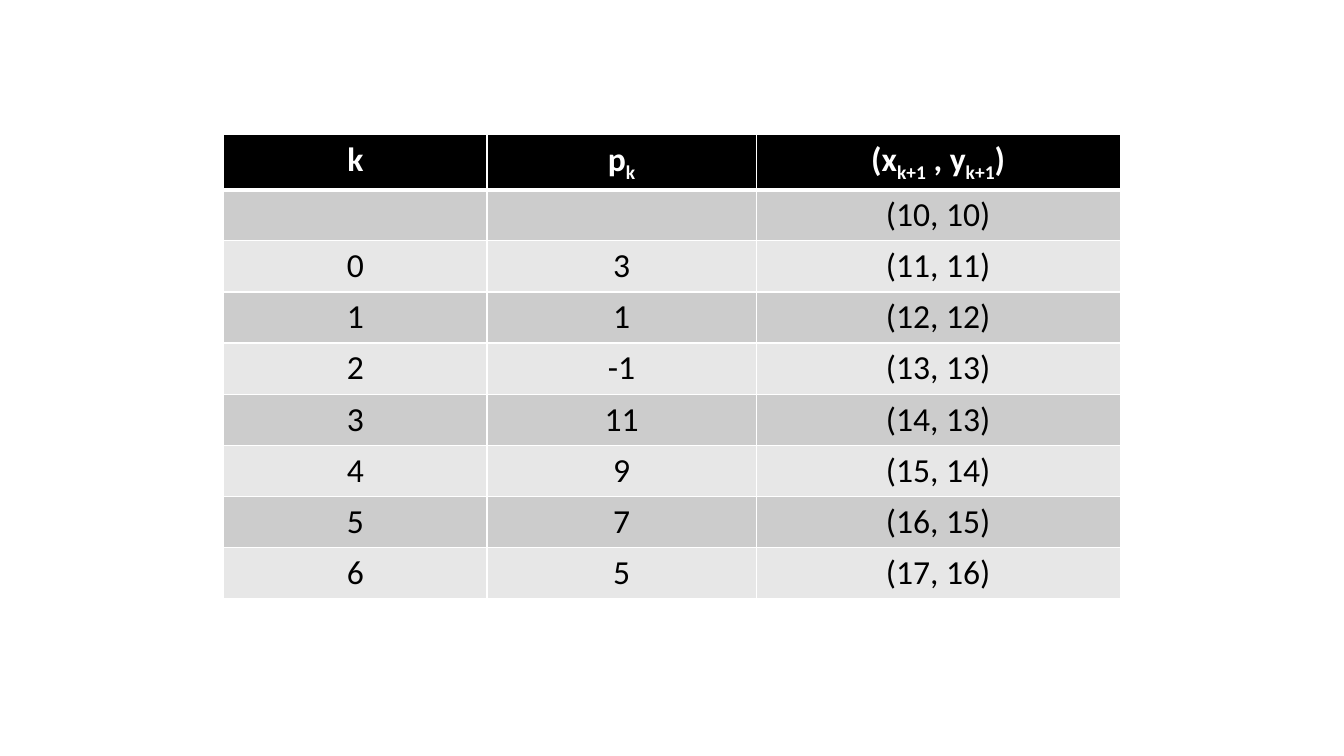
from pptx import Presentation, util as u
from pptx.dml.color import RGBColor
from pptx.enum import text
from pptx.oxml import parse_xml
from pptx.oxml.ns import nsdecls

hues = {"head": "000000", "dark": "CCCCCC", "light": "E7E7E7",
        "line": "FFFFFF", "white": "FFFFFF", "ink": "000000"}

rows = [
    ("k", "p_k", "(x_k+1_ , y_k+1_)"),
    ("", "", "(10, 10)"),
    ("0", "3", "(11, 11)"),
    ("1", "1", "(12, 12)"),
    ("2", "-1", "(13, 13)"),
    ("3", "11", "(14, 13)"),
    ("4", "9", "(15, 14)"),
    ("5", "7", "(16, 15)"),
    ("6", "5", "(17, 16)"),
]
widths = [2.61, 2.67, 3.61]


def write(cell, words, size=24, hue="ink", bold=False):
    para = cell.text_frame.paragraphs[0]
    para.alignment = text.PP_ALIGN.CENTER
    for i, part in enumerate(words.split("_")):
        if not part:
            continue
        run = para.add_run()
        run.text = part
        run.font.name = "Calibri"
        run.font.size = u.Pt(size)
        run.font.bold = bold
        run.font.color.rgb = RGBColor.from_string(hues[hue])
        if i % 2:
            run._r.get_or_add_rPr().set("baseline", "-25000")


def edge(cell, side, width):
    cell._tc.get_or_add_tcPr().append(parse_xml(
        f'<a:ln{side} {nsdecls("a")} w="{u.Pt(width)}"><a:solidFill>'
        f'<a:srgbClr val="{hues["line"]}"/></a:solidFill></a:ln{side}>'))


deck = Presentation()
deck.slide_width = u.Inches(13.33)
deck.slide_height = u.Inches(7.5)
slide = deck.slides.add_slide(deck.slide_layouts[6])

frame = slide.shapes.add_table(len(rows), len(widths), u.Inches(2.22), u.Inches(1.33),
                               u.Inches(8.89), u.Inches(4.5))
table = frame.table
for col, width in zip(table.columns, widths):
    col.width = u.Inches(width)
for row in table.rows:
    row.height = u.Inches(0.41)
frame.height = u.Inches(4.5)

for r, row in enumerate(rows):
    head = r == 0
    fill = "head" if head else "dark" if r % 2 else "light"
    for c, words in enumerate(row):
        cell = table.cell(r, c)
        write(cell, words, hue="white" if head else "ink", bold=head)
        for side in "LRTB":
            thick = (r, side) in [(0, "B"), (1, "T")]
            edge(cell, side, 3 if thick else 1)
        cell.fill.solid()
        cell.fill.fore_color.rgb = RGBColor.from_string(hues[fill])

deck.save("out.pptx")
